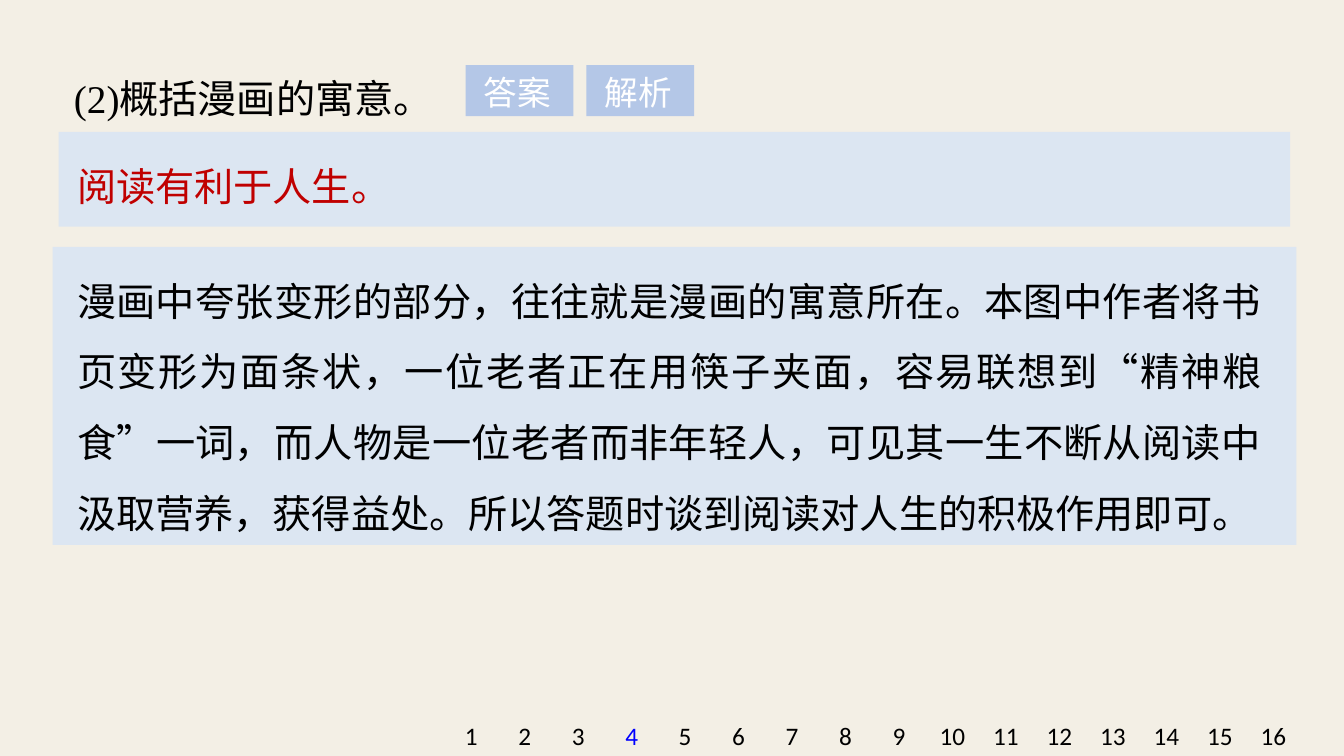
"""Build the answer slide about the meaning of a cartoon."""
from pptx import Presentation
from pptx.dml.color import RGBColor
from pptx.enum.shapes import MSO_SHAPE
from pptx.enum.text import MSO_ANCHOR, MSO_AUTO_SIZE, PP_ALIGN
from pptx.util import Pt

RECTANGLE = MSO_SHAPE.RECTANGLE
TOP, MIDDLE = MSO_ANCHOR.TOP, MSO_ANCHOR.MIDDLE
GROW, FIXED = MSO_AUTO_SIZE.SHAPE_TO_FIT_TEXT, MSO_AUTO_SIZE.NONE
LEFT, CENTER, JUSTIFY = PP_ALIGN.LEFT, PP_ALIGN.CENTER, PP_ALIGN.JUSTIFY

CREAM = RGBColor(0xF3, 0xEF, 0xE5)
PALE_BLUE = RGBColor(0xDC, 0xE6, 0xF2)
BUTTON_BLUE = RGBColor(0xB4, 0xC7, 0xE7)
WHITE = RGBColor(0xFF, 0xFF, 0xFF)
BLACK = RGBColor(0x00, 0x00, 0x00)
RED = RGBColor(0xC0, 0x00, 0x00)
BLUE = RGBColor(0x00, 0x00, 0xFF)

SERIF, QUOTE_FONT = "Times New Roman", "Noto Sans CJK SC"

deck = Presentation()
deck.slide_width, deck.slide_height = Pt(960), Pt(540)
page = deck.slides.add_slide(deck.slide_layouts[6])
page.background.fill.solid()
page.background.fill.fore_color.rgb = CREAM


def add_panel(left, top, width, height, color):
    """Add a plain filled rectangle."""
    panel = page.shapes.add_shape(RECTANGLE, Pt(left), Pt(top), Pt(width), Pt(height))
    panel.shadow.inherit = False
    panel.fill.solid()
    panel.fill.fore_color.rgb = color
    panel.line.fill.background()
    return panel


def write(box, text, size=28, font=SERIF, color=BLACK, align=JUSTIFY, spacing=1.5,
          anchor=TOP, wrap=True, fit=GROW, inset=9.6):
    """Write one paragraph, giving curly quotes their own font."""
    frame = box.text_frame
    frame.word_wrap, frame.auto_size, frame.vertical_anchor = wrap, fit, anchor
    frame.margin_left = frame.margin_right = Pt(inset)
    frame.margin_top = frame.margin_bottom = Pt(4.8)
    para = frame.paragraphs[0]
    para.alignment, para.line_spacing = align, spacing
    for piece in text.replace("“", "|“|").replace("”", "|”|").split("|"):
        span = para.add_run()
        span.text = piece
        span.font.size = Pt(size)
        span.font.name = QUOTE_FONT if piece in ("“", "”") else font
        span.font.color.rgb = color


add_panel(41.8, 94.3, 879.8, 67.7, PALE_BLUE)
answer = page.shapes.add_textbox(Pt(45.4), Pt(94.3), Pt(865.4), Pt(54))
write(answer, "阅读有利于人生。", color=RED)

for number in range(1, 17):
    box = page.shapes.add_textbox(Pt(321.1 + 38.2 * (number - 1)), Pt(502.6), Pt(31), Pt(45.4))
    write(box, str(number), size=18, font="Calibri", color=BLUE if number == 4 else BLACK,
          align=CENTER, spacing=1, anchor=MIDDLE, wrap=False, fit=FIXED)

question = page.shapes.add_textbox(Pt(43.2), Pt(31.7), Pt(848.9), Pt(54))
write(question, "(2)概括漫画的寓意。")

for left, label in ((332.6, "答案"), (418.8, "解析")):
    button = add_panel(left, 46.6, 77, 36.3, BUTTON_BLUE)
    write(button, label, size=24, font="Arial", color=WHITE, align=LEFT, spacing=1, inset=13)

add_panel(37.6, 176.4, 888.5, 212.9, PALE_BLUE)
explanation = page.shapes.add_textbox(Pt(45.4), Pt(176.4), Pt(865.4), Pt(206.6))
write(explanation,
      "漫画中夸张变形的部分，往往就是漫画的寓意所在。本图中作者将书页变形为面条状，"
      "一位老者正在用筷子夹面，容易联想到“精神粮食”一词，而人物是一位老者而非年轻人，"
      "可见其一生不断从阅读中汲取营养，获得益处。所以答题时谈到阅读对人生的积极作用即可。")

deck.save("out.pptx")
